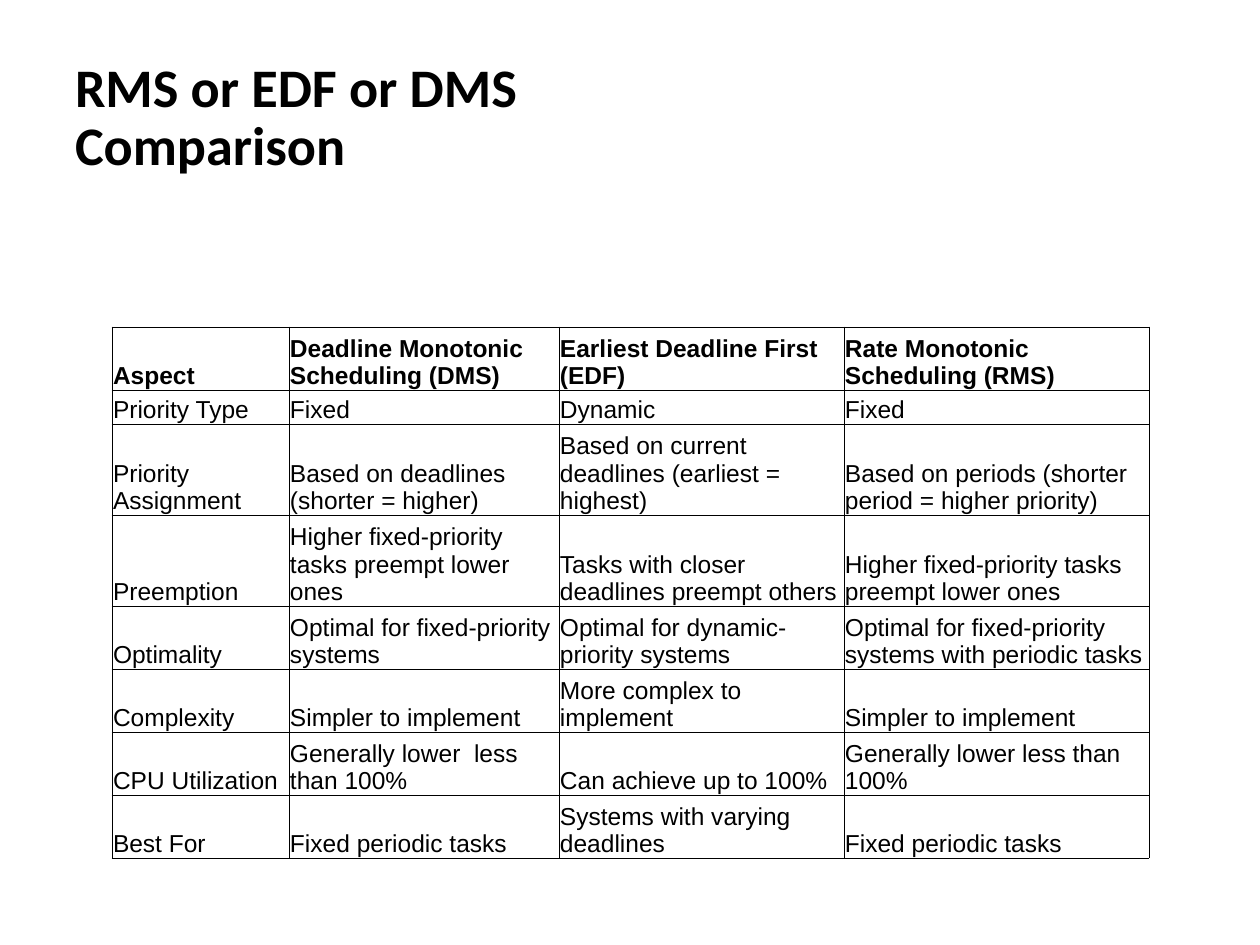
from lxml.etree import SubElement
from pptx import Presentation
from pptx.dml.color import RGBColor
from pptx.enum.shapes import MSO_SHAPE
from pptx.enum.text import MSO_ANCHOR
from pptx.oxml.ns import qn
from pptx.util import Emu, Pt

TITLE = "RMS or EDF or DMS Comparison"
ROWS = [
    ("Aspect", "Deadline Monotonic Scheduling (DMS)",
     "Earliest Deadline First (EDF)", "Rate Monotonic Scheduling (RMS)"),
    ("Priority Type", "Fixed", "Dynamic", "Fixed"),
    ("Priority Assignment", "Based on deadlines (shorter = higher)",
     "Based on current deadlines (earliest = highest)",
     "Based on periods (shorter period = higher priority)"),
    ("Preemption", "Higher fixed-priority tasks preempt lower ones",
     "Tasks with closer deadlines preempt others",
     "Higher fixed-priority tasks preempt lower ones"),
    ("Optimality", "Optimal for fixed-priority systems",
     "Optimal for dynamic-priority systems",
     "Optimal for fixed-priority systems with periodic tasks"),
    ("Complexity", "Simpler to implement", "More complex to implement",
     "Simpler to implement"),
    ("CPU Utilization", "Generally lower  less than 100%",
     "Can achieve up to 100%", "Generally lower less than 100%"),
    ("Best For", "Fixed periodic tasks", "Systems with varying deadlines",
     "Fixed periodic tasks"),
]
COLUMN_WIDTHS = [177, 270, 285, 305]
ROW_HEIGHTS = [63, 34, 91, 91, 63, 63, 63, 63]
BLACK, WHITE = "000000", "FFFFFF"


def px(length):
    return Emu(round(length * 914400 / 126))


def color(value):
    return RGBColor.from_string(value)


def add_run(paragraph, text, font_name, size, bold):
    run = paragraph.add_run()
    run.text = text
    run.font.name = font_name
    run.font.size = Pt(size)
    run.font.bold = bold
    run.font.color.rgb = color(BLACK)


def add_borders(cell):
    properties = cell._tc.get_or_add_tcPr()
    for position, side in enumerate(("lnL", "lnR", "lnT", "lnB")):
        line = SubElement(properties, qn(f"a:{side}"), w=str(Pt(0.5)))
        fill = SubElement(line, qn("a:solidFill"))
        SubElement(fill, qn("a:srgbClr"), val=BLACK)
        properties.insert(position, line)  # borders come before the fill


presentation = Presentation()
presentation.slide_width = px(1260)
presentation.slide_height = px(945)
slide = presentation.slides.add_slide(presentation.slide_layouts[6])

# Header band
band = slide.shapes.add_shape(MSO_SHAPE.RECTANGLE, 0, 0, px(1260), px(234))
band.shadow.inherit = False
band.fill.solid()
band.fill.fore_color.rgb = color(WHITE)
band.line.fill.background()

# Title
title = slide.shapes.add_textbox(px(61), px(34), px(725), px(170))
frame = title.text_frame
frame.word_wrap = True
frame.vertical_anchor = MSO_ANCHOR.MIDDLE
frame.margin_left = px(14)
paragraph = frame.paragraphs[0]
paragraph.line_spacing = 0.9
add_run(paragraph, TITLE, "Calibri", 31, True)

# Comparison table
table = slide.shapes.add_table(
    len(ROWS), len(COLUMN_WIDTHS), px(112), px(327),
    px(sum(COLUMN_WIDTHS)), px(sum(ROW_HEIGHTS))).table
table.horz_banding = False
for column, width in zip(table.columns, COLUMN_WIDTHS):
    column.width = px(width)
for row, height in zip(table.rows, ROW_HEIGHTS):
    row.height = px(height)

for row_index, texts in enumerate(ROWS):
    for column_index, text in enumerate(texts):
        cell = table.cell(row_index, column_index)
        cell.fill.background()
        cell.vertical_anchor = MSO_ANCHOR.BOTTOM
        cell.margin_left = cell.margin_right = cell.margin_top = px(1)
        cell.margin_bottom = 0
        add_borders(cell)
        add_run(cell.text_frame.paragraphs[0], text, "Arial", 14, row_index == 0)

presentation.save("out.pptx")
